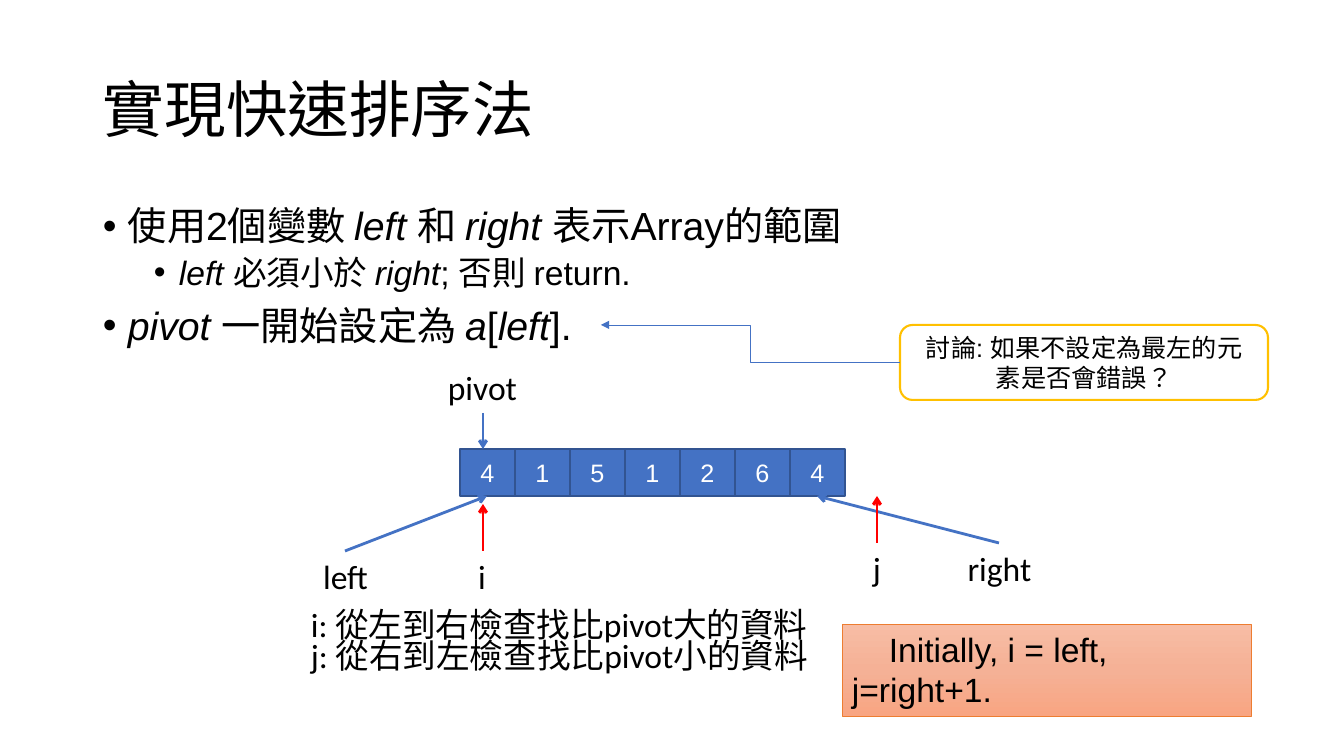
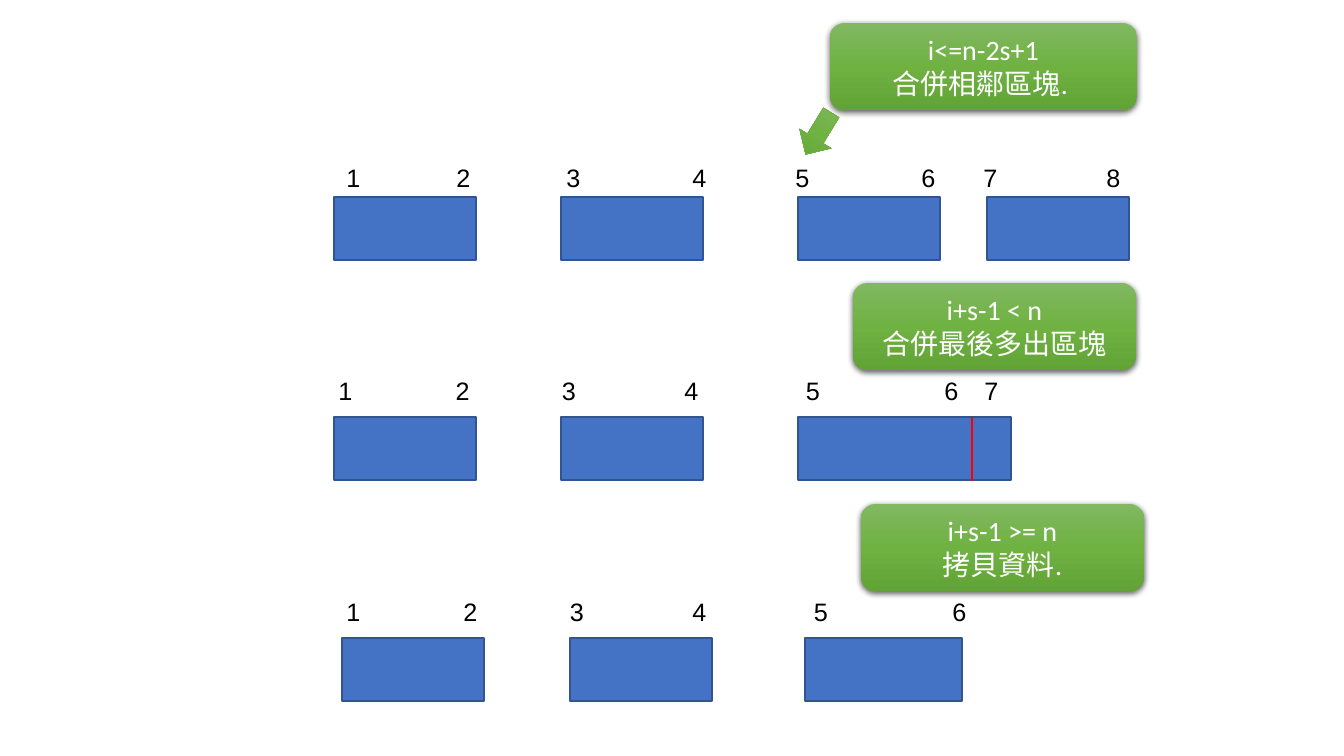
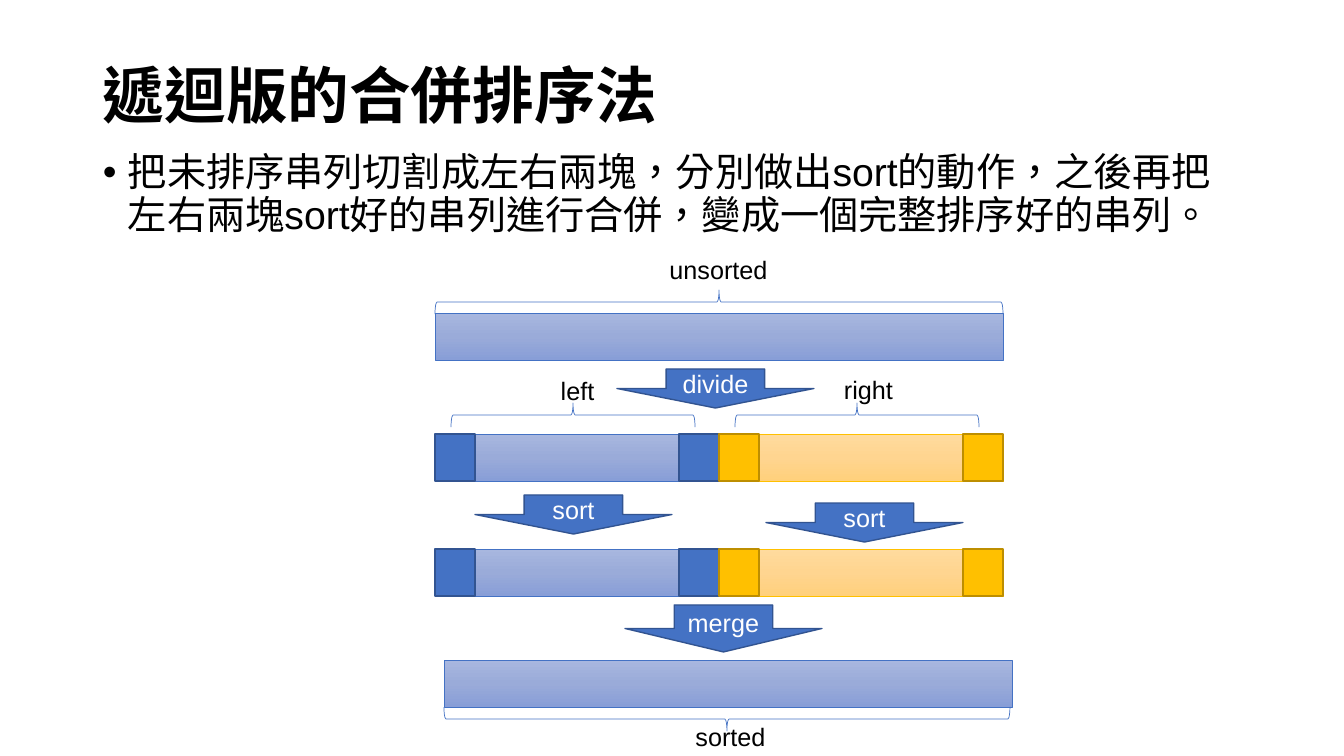
from lxml import etree
from pptx import Presentation
from pptx.dml.color import RGBColor
from pptx.enum.lang import MSO_LANGUAGE_ID
from pptx.enum.shapes import MSO_CONNECTOR, MSO_SHAPE
from pptx.enum.text import MSO_ANCHOR, PP_ALIGN
from pptx.oxml.ns import qn
from pptx.util import Pt

RECT, ROUNDED = MSO_SHAPE.RECTANGLE, MSO_SHAPE.ROUNDED_RECTANGLE
DOWN_ARROW, LEFT_BRACE = MSO_SHAPE.DOWN_ARROW, MSO_SHAPE.LEFT_BRACE
STRAIGHT, ELBOW = MSO_CONNECTOR.STRAIGHT, MSO_CONNECTOR.ELBOW
TOP, MIDDLE = MSO_ANCHOR.TOP, MSO_ANCHOR.MIDDLE
LEFT, CENTER = PP_ALIGN.LEFT, PP_ALIGN.CENTER
CHINESE = MSO_LANGUAGE_ID.TRADITIONAL_CHINESE

EMU_PER_PX = 914400 / 100.8
COLORS = {
    "black": "000000", "white": "FFFFFF", "red": "FF0000",
    "blue": "4472C4", "navy": "325491", "gold": "FFC000",
    "bronze": "BD8E00", "orange": "ED7D31", "green": "70AD47",
}
GRADIENTS = {
    "soft blue": ("A8B7DF", "9AABD9", "889ED7"),
    "soft gold": ("FFDB9E", "FFD590", "FFD07C"),
    "salmon": ("F7BDA5", "F5B196", "F8A582"),
    "leaf": ("81B861", "6FB242", "62A336"),
}
# Fill, outline, outline width
SOLID_BLUE = ("blue", "navy", 1)
SOLID_GOLD = ("gold", "bronze", 1)
SOFT_BLUE = ("soft blue", "blue", 0.5)
SOFT_GOLD = ("soft gold", "gold", 0.5)

# Left indent, space before, size for each bullet level
BULLET_LEVELS = ((25, 10, 28), (76, 5, 24))


def px(pixels):
    return round(pixels * EMU_PER_PX)


def rgb(name):
    return RGBColor.from_string(COLORS[name])


def apply(target, formats):
    for attribute, value in formats.items():
        setattr(target, attribute, value)


def add_xml(parent, tag, **attributes):
    return etree.SubElement(parent, qn(tag), attributes)


# Text

def add_run(paragraph, text, size, color="black", font="Arial", **formats):
    run = paragraph.add_run()
    run.text = text
    apply(run.font, {"name": font, "size": Pt(size),
                     "language_id": CHINESE, **formats})
    run.font.color.rgb = rgb(color)


def write(shape, text, size=18, align=CENTER, anchor=MIDDLE, spacing=None, **run_formats):
    frame = shape.text_frame
    apply(frame, {"word_wrap": True, "vertical_anchor": anchor})
    for number, line in enumerate(text.split("\n")):
        paragraph = frame.add_paragraph() if number else frame.paragraphs[0]
        apply(paragraph, {"alignment": align, "line_spacing": spacing})
        add_run(paragraph, line, size, **run_formats)


def add_label(slide, box, text, anchor=TOP, **formats):
    label = slide.shapes.add_textbox(*map(px, box))
    write(label, text, anchor=anchor, **formats)


def add_title(slide, top, text, **formats):
    add_label(slide, (93, top, 1159, 146), text, size=44, align=LEFT,
              anchor=MIDDLE, spacing=0.9, **formats)


def add_bullets(slide, top, height, items):
    """Each item is (level, text); text between asterisks is italic."""
    frame = slide.shapes.add_textbox(*map(px, (93, top, 1159, height))).text_frame
    frame.word_wrap = True
    for number, (level, text) in enumerate(items):
        indent, before, size = BULLET_LEVELS[level]
        paragraph = frame.add_paragraph() if number else frame.paragraphs[0]
        apply(paragraph, {"level": level, "line_spacing": 0.9,
                          "space_before": Pt(before)})
        properties = paragraph._p.get_or_add_pPr()
        properties.set("marL", str(px(indent)))
        properties.set("indent", str(px(-25)))
        add_xml(properties, "a:buFont", typeface="Arial")
        add_xml(properties, "a:buChar", char="•")
        for position, part in enumerate(text.split("*")):
            if part:
                add_run(paragraph, part, size, italic=position % 2 == 1)


# Shapes and lines

def paint(shape, fill, outline, width):
    shape.shadow.inherit = False
    if fill in GRADIENTS:
        shape.fill.gradient()
        shape.fill.gradient_angle = 270
        stops = shape._element.spPr.find(qn("a:gradFill")).find(qn("a:gsLst"))
        for stop in list(stops):
            stops.remove(stop)
        for position, color in zip((0, 50000, 100000), GRADIENTS[fill]):
            stop = add_xml(stops, "a:gs", pos=str(position))
            add_xml(stop, "a:srgbClr", val=color)
    elif fill:
        shape.fill.solid()
        shape.fill.fore_color.rgb = rgb(fill)
    else:
        shape.fill.background()
    if outline:
        shape.line.color.rgb = rgb(outline)
        shape.line.width = Pt(width)
    else:
        shape.line.fill.background()


def add_block(slide, box, look, kind=RECT, text=None, **formats):
    block = slide.shapes.add_shape(kind, *map(px, box))
    paint(block, *look)
    if text:
        write(block, text, **formats)
    return block


def add_line(slide, start, end, color="blue", width=2, head=None, kind=STRAIGHT):
    line = slide.shapes.add_connector(kind, *map(px, start + end))
    line.line.color.rgb = rgb(color)
    line.line.width = Pt(width)
    properties = line._element.spPr
    if head:
        add_xml(properties.find(qn("a:ln")), "a:tailEnd", type=head)
    add_xml(properties, "a:effectLst")


def add_brace(slide, center_x, center_y, length, rotation):
    thickness = 24
    box = (center_x - thickness / 2, center_y - length / 2, thickness, length)
    brace = add_block(slide, box, (None, "blue", 0.5), LEFT_BRACE)
    brace.rotation = rotation


def add_callout(slide, box, text):
    callout = add_block(slide, box, ("leaf", None, 0), ROUNDED, text,
                        size=20, color="white", font="Calibri")
    effects = callout._element.spPr.find(qn("a:effectLst"))
    shadow = add_xml(effects, "a:outerShdw", blurRad="57150", dist="19050",
                     dir="5400000", algn="ctr", rotWithShape="0")
    shade = add_xml(shadow, "a:srgbClr", val=COLORS["black"])
    add_xml(shade, "a:alpha", val="63000")


def add_step(slide, box, text):
    add_block(slide, box, SOLID_BLUE, DOWN_ARROW, text, color="white")


# Slides

def quick_sort_slide(slide):
    add_title(slide, 40, "實現快速排序法")
    add_bullets(slide, 202, 480, [
        (0, "使用2個變數 *left *和 *right *表示Array的範圍"),
        (1, "*left *必須小於 *right*; 否則 return."),
        (0, "*pivot *一開始設定為 *a*[*left*]."),
    ])

    # Array cells
    for index, value in enumerate("4151264"):
        add_block(slide, (460 + 55 * index, 449, 55, 47), SOLID_BLUE,
                  text=value, color="white")

    # Pointers into the array
    for name, box in (
        ("left", (294, 551, 103, 50)), ("right", (948, 543, 103, 50)),
        ("pivot", (435, 362, 95, 50)),
        ("i", (427, 551, 110, 50)), ("j", (822, 543, 110, 50)),
    ):
        add_label(slide, box, name, size=24, font="Calibri")
    for start, end, color in (
        ((345, 551), (487, 496), "blue"), ((999, 543), (817, 496), "blue"),
        ((483, 413), (483, 449), "blue"),
        ((483, 551), (483, 504), "red"), ((877, 543), (877, 496), "red"),
    ):
        add_line(slide, start, end, color, head="arrow")

    # Scan rules and starting values
    for top, rule in ((599, "i: 從左到右檢查找比pivot大的資料"),
                      (630, "j: 從右到左檢查找比pivot小的資料")):
        add_label(slide, (301, top, 779, 50), rule, size=24, align=LEFT,
                  font="Calibri")
    start_values = add_block(slide, (842, 624, 409, 92), ("salmon", "orange", 0.5),
                             text="Initially, i = left, j=right+1.", size=24,
                             align=LEFT, anchor=TOP)
    first_line = start_values.text_frame.paragraphs[0]._p.get_or_add_pPr()
    first_line.set("indent", str(px(37)))

    # Discussion question
    add_block(slide, (900, 325, 368, 75), ("white", "gold", 1.5), ROUNDED,
              "討論: 如果不設定為最左的元素是否會錯誤？")
    add_line(slide, (900, 362), (601, 325), width=0.5, head="triangle", kind=ELBOW)


def merge_cases_slide(slide):
    # Per row: label top, label (left, width), block top, block (left, width)
    rows = (
        (157, ((326, 55), (412, 103), (538, 71), (648, 103),
               (751, 103), (877, 103), (939, 103), (1074, 79)),
         197, ((334, 142), (561, 142), (798, 142), (987, 142))),
        (370, ((318, 55), (427, 71), (538, 62), (656, 71),
               (782, 62), (900, 103), (956, 71)),
         417, ((334, 142), (561, 142), (798, 213))),
        (591, ((326, 55), (435, 71), (546, 62), (664, 71),
               (790, 62), (908, 103)),
         638, ((342, 142), (570, 142), (805, 157))),
    )
    for label_top, labels, block_top, blocks in rows:
        for left, width in blocks:
            add_block(slide, (left, block_top, width, 63), SOLID_BLUE)
        for number, (left, width) in enumerate(labels, 1):
            add_label(slide, (left, label_top, width, 40), str(number))

    # Conditions
    add_callout(slide, (830, 23, 307, 87), "i<=n-2s+1\n合併相鄰區塊. ")
    add_callout(slide, (853, 283, 283, 87), "i+s-1 < n\n合併最後多出區塊")
    add_callout(slide, (861, 504, 283, 87), "i+s-1 >= n\n拷貝資料.")
    pointer = add_block(slide, (800, 109, 37, 49), ("leaf", "green", 0.5), DOWN_ARROW)
    pointer.rotation = 31.5

    # Boundary of the leftover block
    add_line(slide, (972, 417), (972, 481), "red", 1.75)


def merge_sort_slide(slide):
    add_title(slide, 26, "遞迴版的合併排序法", bold=True)
    add_bullets(slide, 148, 533, [
        (0, "把未排序串列切割成左右兩塊，分別做出sort的動作，之後再把"
            "左右兩塊sort好的串列進行合併，變成一個完整排序好的串列。"),
    ])

    # Whole lists
    for left, top in ((435, 313), (444, 660)):
        add_block(slide, (left, top, 568, 47), SOFT_BLUE)

    # Halves with their first and last items
    half, item = 284, 40
    for top in (434, 549):
        for left, body, ends in ((435, SOFT_BLUE, SOLID_BLUE),
                                 (435 + half, SOFT_GOLD, SOLID_GOLD)):
            add_block(slide, (left, top, half, 47), body)
            for end_left in (left, left + half - item):
                add_block(slide, (end_left, top, item, 47), ends)

    # Braces and their labels
    for brace in ((719, 302, 568, 90), (573, 415, 244, 90),
                  (857, 415, 244, 90), (727, 719, 566, 270)):
        add_brace(slide, *brace)
    for name, left, top, width in (
        ("unsorted", 640, 249, 157), ("left", 499, 370, 157),
        ("right", 790, 369, 157), ("sorted", 679, 716, 103),
    ):
        add_label(slide, (left, top, width, 40), name)

    # Steps
    for name, left, top, height in (
        ("divide", 617, 369, 39), ("sort", 475, 495, 39),
        ("sort", 766, 503, 39), ("merge", 625, 605, 47),
    ):
        add_step(slide, (left, top, 197, height), name)


def main():
    deck = Presentation()
    apply(deck, {"slide_width": px(1344), "slide_height": px(756)})
    blank = deck.slide_layouts[6]
    for build in (quick_sort_slide, merge_cases_slide, merge_sort_slide):
        build(deck.slides.add_slide(blank))
    deck.save("out.pptx")


main()
